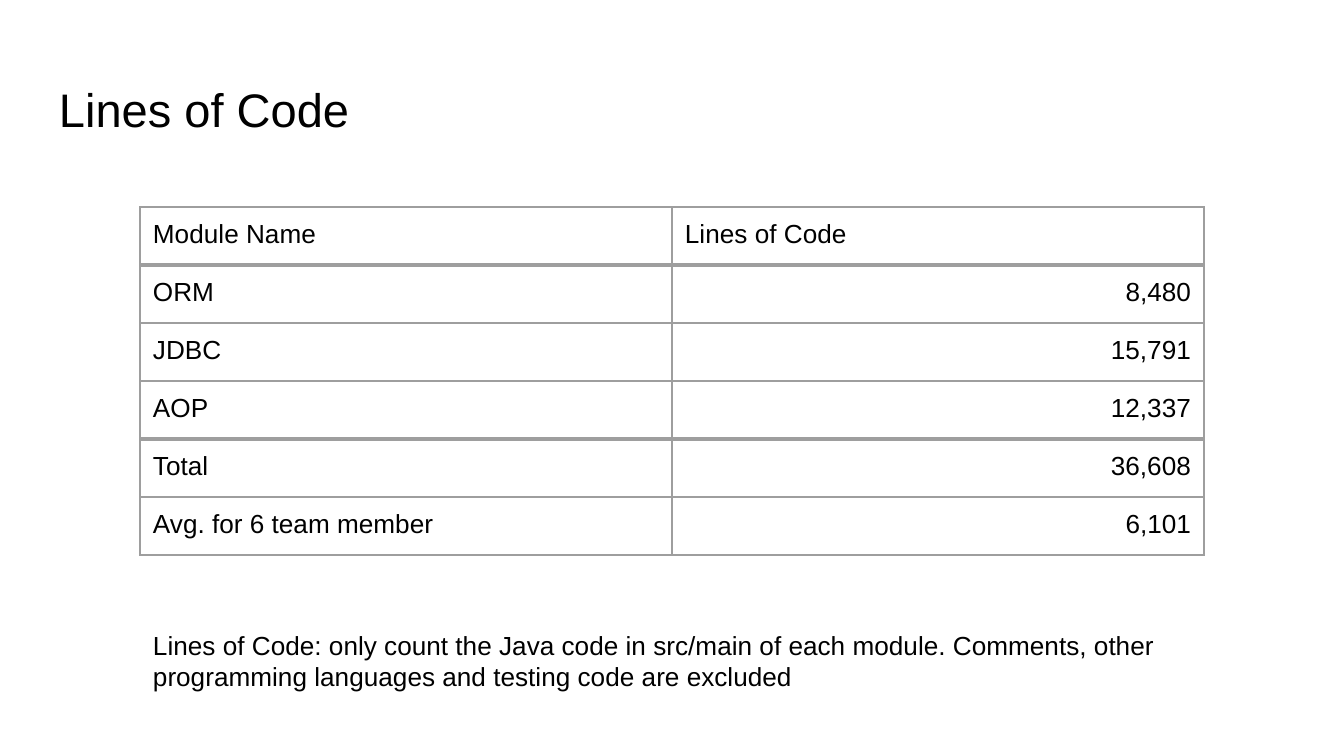
from pptx import Presentation
from pptx.dml.color import RGBColor
from pptx.enum.text import MSO_ANCHOR, PP_ALIGN
from pptx.oxml import parse_xml
from pptx.oxml.ns import nsdecls
from pptx.util import Emu, Pt

BLACK = RGBColor(0x00, 0x00, 0x00)
WHITE = RGBColor(0xFF, 0xFF, 0xFF)
GREY = RGBColor(0x9E, 0x9E, 0x9E)
THIN, THICK = Pt(0.75), Pt(2.25)


def px(n):
    return Emu(round(n * 914400 / 134.4))


def write(frame, text, size, align=PP_ALIGN.LEFT):
    paragraph = frame.paragraphs[0]
    paragraph.alignment = align
    run = paragraph.add_run()
    run.text = text
    for key, value in {"name": "Arial", "size": Pt(size)}.items():
        setattr(run.font, key, value)
    run.font.color.rgb = BLACK


deck = Presentation()
deck.slide_width, deck.slide_height = px(1344), px(756)
slide = deck.slides.add_slide(deck.slide_layouts[6])
slide.background.fill.solid()
slide.background.fill.fore_color.rgb = WHITE

margins = {f"margin_{side}": px(13) for side in ("left", "top", "right", "bottom")}

# Title and footnote
texts = [
    ("Lines of Code", 25.2, (46, 67, 1252, 84), MSO_ANCHOR.MIDDLE),
    ("Lines of Code: only count the Java code in src/main of each module. "
     "Comments, other programming languages and testing code are excluded",
     14, (140, 616, 1064, 84), MSO_ANCHOR.TOP),
]
for text, size, box, anchor in texts:
    frame = slide.shapes.add_textbox(*map(px, box)).text_frame
    for key, value in {**margins, "word_wrap": True, "vertical_anchor": anchor}.items():
        setattr(frame, key, value)
    write(frame, text, size)

# Module table
modules = [
    ("Module Name", "Lines of Code"),
    ("ORM", "8,480"),
    ("JDBC", "15,791"),
    ("AOP", "12,337"),
    ("Total", "36,608"),
    ("Avg. for 6 team member", "6,101"),
]
thick_below = {0, 3}  # under the header and above the total
table = slide.shapes.add_table(len(modules), 2, px(140), px(207), px(1064), px(348)).table
table.first_row = table.horz_banding = False
for column in table.columns:
    column.width = px(532)
for r, module in enumerate(modules):
    table.rows[r].height = px(58)
    for c, text in enumerate(module):
        cell = table.cell(r, c)
        for key, value in margins.items():
            setattr(cell, key, value)
        write(cell.text_frame, text, 14, PP_ALIGN.RIGHT if r and c else PP_ALIGN.LEFT)
        # Borders come before the fill in the cell properties
        widths = {
            "lnL": THIN,
            "lnR": THIN,
            "lnT": THICK if r - 1 in thick_below else THIN,
            "lnB": THICK if r in thick_below else THIN,
        }
        for tag, width in widths.items():
            cell._tc.get_or_add_tcPr().append(parse_xml(
                f'<a:{tag} {nsdecls("a")} w="{int(width)}"><a:solidFill>'
                f'<a:srgbClr val="{GREY}"/></a:solidFill></a:{tag}>'))
        cell.fill.background()

deck.save("out.pptx")
